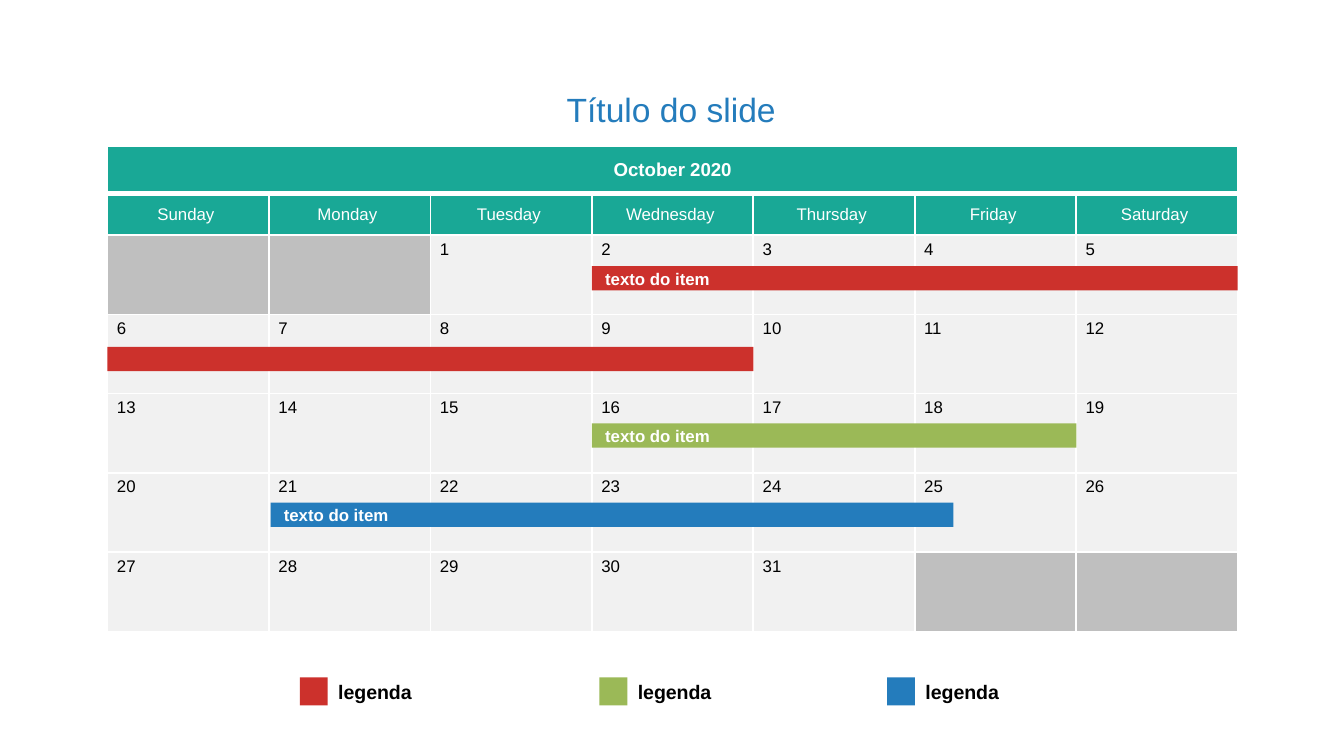
from dataclasses import dataclass

from lxml.etree import SubElement
from pptx import Presentation
from pptx.dml.color import RGBColor
from pptx.enum.shapes import MSO_SHAPE
from pptx.enum.text import MSO_ANCHOR, MSO_AUTO_SIZE, PP_ALIGN
from pptx.oxml.ns import qn
from pptx.util import Pt


@dataclass(frozen=True)
class Theme:
    font: str = "Arial"
    white: str = "FFFFFF"
    black: str = "000000"
    teal: str = "19A896"
    red: str = "CC312C"
    green: str = "9BB957"
    blue: str = "247CBC"
    day: str = "D9D9D9"
    day_alpha: int = 35
    blank: str = "BFBFBF"
    title: float = 18
    legend: float = 10.5
    month: float = 10
    body: float = 9


LEFT, TOP = 57.6, 78.5
COL = 86.5
ROWS = [25.2, 22.2] + [42.5] * 5
WEEKDAYS = ["Sunday", "Monday", "Tuesday", "Wednesday", "Thursday", "Friday", "Saturday"]
FIRST_COL, DAYS = 2, 31


class Builder:
    def __init__(self, slide, theme):
        self.s = slide
        self.t = theme

    def style(self, p, size, color, bold=False, align=PP_ALIGN.LEFT):
        p.alignment = align
        p.font.name = self.t.font
        p.font.size = Pt(size)
        p.font.bold = bold
        p.font.color.rgb = RGBColor.from_string(color)

    def text(self, x, y, w, h, text, size, color, bold=False,
             align=PP_ALIGN.LEFT, anchor=MSO_ANCHOR.TOP, wrap=True):
        tf = self.s.shapes.add_textbox(Pt(x), Pt(y), Pt(w), Pt(h)).text_frame
        tf.word_wrap = wrap
        tf.auto_size = MSO_AUTO_SIZE.SHAPE_TO_FIT_TEXT
        tf.vertical_anchor = anchor
        tf.text = text
        self.style(tf.paragraphs[0], size, color, bold, align)

    def rect(self, x, y, w, h, color, text=""):
        sp = self.s.shapes.add_shape(MSO_SHAPE.RECTANGLE, Pt(x), Pt(y), Pt(w), Pt(h))
        sp.shadow.inherit = False
        sp.fill.solid()
        sp.fill.fore_color.rgb = RGBColor.from_string(color)
        sp.line.fill.background()
        if text:
            tf = sp.text_frame
            tf.vertical_anchor = MSO_ANCHOR.MIDDLE
            tf.text = text
            self.style(tf.paragraphs[0], self.t.body, self.t.white, True)

    def bar(self, col, days, y, color, text=""):
        self.rect(LEFT + col * COL, y, days * COL, 13, color, text)

    def legend(self, x, color, text):
        self.rect(x, 362.9, 15, 15, color)
        self.text(x + 13.5, 360.7, 101.5, 20, text, self.t.legend, self.t.black, True)

    def borders(self, cell, top=1, bottom=1):
        tc_pr = cell._tc.get_or_add_tcPr()
        for side, width in zip("LRTB", (1, 1, top, bottom)):
            ln = SubElement(tc_pr, qn(f"a:ln{side}"), w=str(Pt(width)))
            fill = SubElement(ln, qn("a:solidFill"))
            SubElement(fill, qn("a:srgbClr"), val=self.t.white)

    def cell(self, cell, color, alpha=None):
        cell.margin_left = cell.margin_right = Pt(5.1)
        cell.margin_top = cell.margin_bottom = Pt(2.6)
        cell.fill.solid()
        cell.fill.fore_color.rgb = RGBColor.from_string(color)
        if alpha:
            clr = cell._tc.tcPr.find(qn("a:solidFill")).find(qn("a:srgbClr"))
            SubElement(clr, qn("a:alpha"), val=str(alpha * 1000))

    def header(self, cell, text, size, bold=False):
        cell.vertical_anchor = MSO_ANCHOR.MIDDLE
        cell.text = text
        self.style(cell.text_frame.paragraphs[0], size, self.t.white, bold, PP_ALIGN.CENTER)

    def calendar(self, month):
        t = self.t
        n = len(WEEKDAYS)
        table = self.s.shapes.add_table(
            len(ROWS), n, Pt(LEFT), Pt(TOP), Pt(n * COL), Pt(sum(ROWS))).table
        table.first_row = table.horz_banding = False
        for column in table.columns:
            column.width = Pt(COL)
        for row, height in zip(table.rows, ROWS):
            row.height = Pt(height)

        for c, weekday in enumerate(WEEKDAYS):
            self.borders(table.cell(0, c), bottom=3)
            self.cell(table.cell(0, c), t.teal)
            self.borders(table.cell(1, c), top=3)
            self.cell(table.cell(1, c), t.teal)
            self.header(table.cell(1, c), f"{weekday} ", t.body)
        table.cell(0, 0).merge(table.cell(0, n - 1))
        self.header(table.cell(0, 0), month, t.month, True)

        for i in range((len(ROWS) - 2) * n):
            cell = table.cell(2 + i // n, i % n)
            day = i - FIRST_COL + 1
            self.borders(cell)
            if 1 <= day <= DAYS:
                self.cell(cell, t.day, t.day_alpha)
                cell.text = str(day)
                self.style(cell.text_frame.paragraphs[0], t.body, t.black)
            else:
                self.cell(cell, t.blank)


def main():
    prs = Presentation()
    prs.slide_width, prs.slide_height = Pt(720), Pt(405)
    t = Theme()
    b = Builder(prs.slides.add_slide(prs.slide_layouts[6]), t)

    b.calendar("October 2020")
    b.text(267.1, 44.6, 185, 27.4, "Título do slide", t.title, t.blue,
           align=PP_ALIGN.CENTER, anchor=MSO_ANCHOR.MIDDLE, wrap=False)

    b.bar(3, 4, 142.6, t.red, "texto do item")
    b.bar(0, 4, 185.8, t.red)
    b.bar(3, 3, 226.8, t.green, "texto do item")
    b.bar(1.01, 4.23, 269.3, t.blue, "texto do item")

    for x, color in ((160.6, t.red), (321.1, t.green), (475.2, t.blue)):
        b.legend(x, color, "legenda")

    prs.save("out.pptx")


if __name__ == "__main__":
    main()
